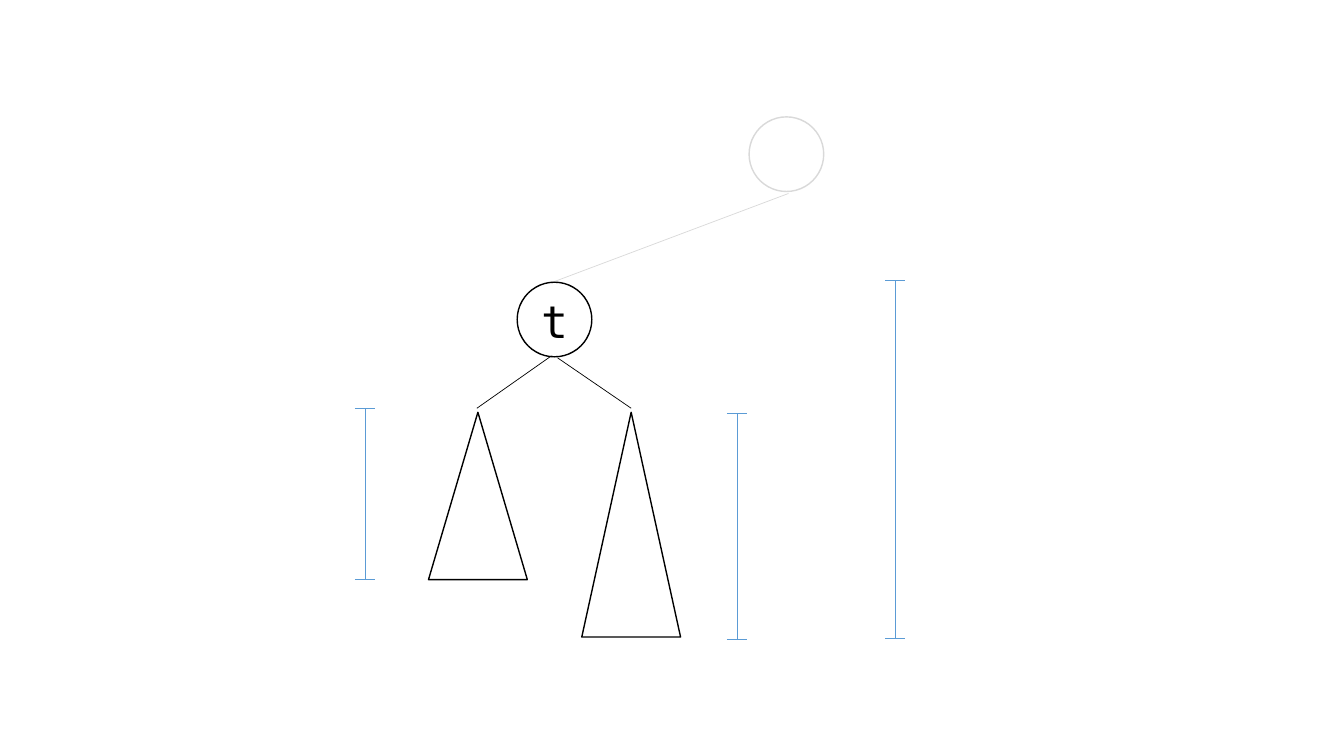
import pptx
import pptx.dml.color
import pptx.enum.shapes
import pptx.enum.text
import pptx.util
from lxml import etree

BLACK = pptx.dml.color.RGBColor(0x00, 0x00, 0x00)
GREY = pptx.dml.color.RGBColor(0xD9, 0xD9, 0xD9)
BLUE = pptx.dml.color.RGBColor(0x5B, 0x9B, 0xD5)
WIDTH = pptx.util.Inches(13.33)
HEIGHT = pptx.util.Inches(7.5)
COLUMN = WIDTH / 13.33
ROW = HEIGHT / 7.5
NODE_SIZE = 0.74
SUBTREE_WIDTH = 0.98
CAP_REACH = 0.1
SHAPES = pptx.enum.shapes.MSO_SHAPE


def across(columns):
    return round(columns * COLUMN)


def down(rows):
    return round(rows * ROW)


def add_line(shapes, start, end, color):
    line = shapes.add_connector(
        pptx.enum.shapes.MSO_CONNECTOR.STRAIGHT,
        across(start[0]), down(start[1]), across(end[0]), down(end[1]))
    line.line.color.rgb = color
    line.line.width = pptx.util.Pt(0.5)
    properties = line._element.spPr
    etree.SubElement(properties, pptx.oxml.ns.qn("a:effectLst"))


def add_outline(shapes, kind, left, top, width, height, color):
    shape = shapes.add_shape(
        kind, across(left), down(top), across(width), down(height))
    shape.shadow.inherit = False
    shape.fill.background()
    shape.line.color.rgb = color
    shape.line.width = pptx.util.Pt(1)


def add_node(shapes, left, top, color):
    add_outline(shapes, SHAPES.OVAL, left, top, NODE_SIZE, NODE_SIZE, color)


def add_subtree(shapes, left, top, height):
    add_outline(shapes, SHAPES.ISOSCELES_TRIANGLE,
                left, top, SUBTREE_WIDTH, height, BLACK)


def add_text(shapes, text, left, top, width, height, *, size, font, color):
    box = shapes.add_textbox(
        across(left), down(top), across(width), down(height))
    box.text_frame.word_wrap = True
    para = box.text_frame.paragraphs[0]
    para.alignment = pptx.enum.text.PP_ALIGN.CENTER
    para.line_spacing = 1.07
    para.space_after = pptx.util.Pt(8)
    span = para.add_run()
    span.text = text
    span.font.size = pptx.util.Pt(size)
    span.font.name = font
    span.font.color.rgb = color


def add_height_marker(page, center, top, bottom):
    marker = page.shapes.add_group_shape()
    add_line(marker.shapes, (center, top), (center, bottom), BLUE)
    for level in (top, bottom):
        add_line(marker.shapes, (center - CAP_REACH, level),
                 (center + CAP_REACH, level), BLUE)


def main():
    deck = pptx.Presentation()
    deck.slide_width = WIDTH
    deck.slide_height = HEIGHT
    page = deck.slides.add_slide(deck.slide_layouts[6])

    add_line(page.shapes, (7.82, 1.92), (5.48, 2.8), GREY)
    add_subtree(page.shapes, 4.25, 4.09, 1.66)
    add_subtree(page.shapes, 5.77, 4.09, 2.23)
    add_line(page.shapes, (5.47, 3.53), (4.73, 4.05), BLACK)
    add_line(page.shapes, (5.53, 3.55), (6.26, 4.05), BLACK)

    for center, top, bottom in (
            (3.62, 4.05, 5.75), (7.31, 4.1, 6.34), (8.88, 2.78, 6.33)):
        add_height_marker(page, center, top, bottom)

    root = page.shapes.add_group_shape()
    add_node(root.shapes, 5.13, 2.8, BLACK)
    add_text(root.shapes, "t", 5.08, 2.83, 0.84, 0.68,
             size=32, font="DejaVu Sans Mono", color=BLACK)
    add_node(page.shapes, 7.43, 1.16, GREY)
    deck.save("out.pptx")


if __name__ == "__main__":
    main()
